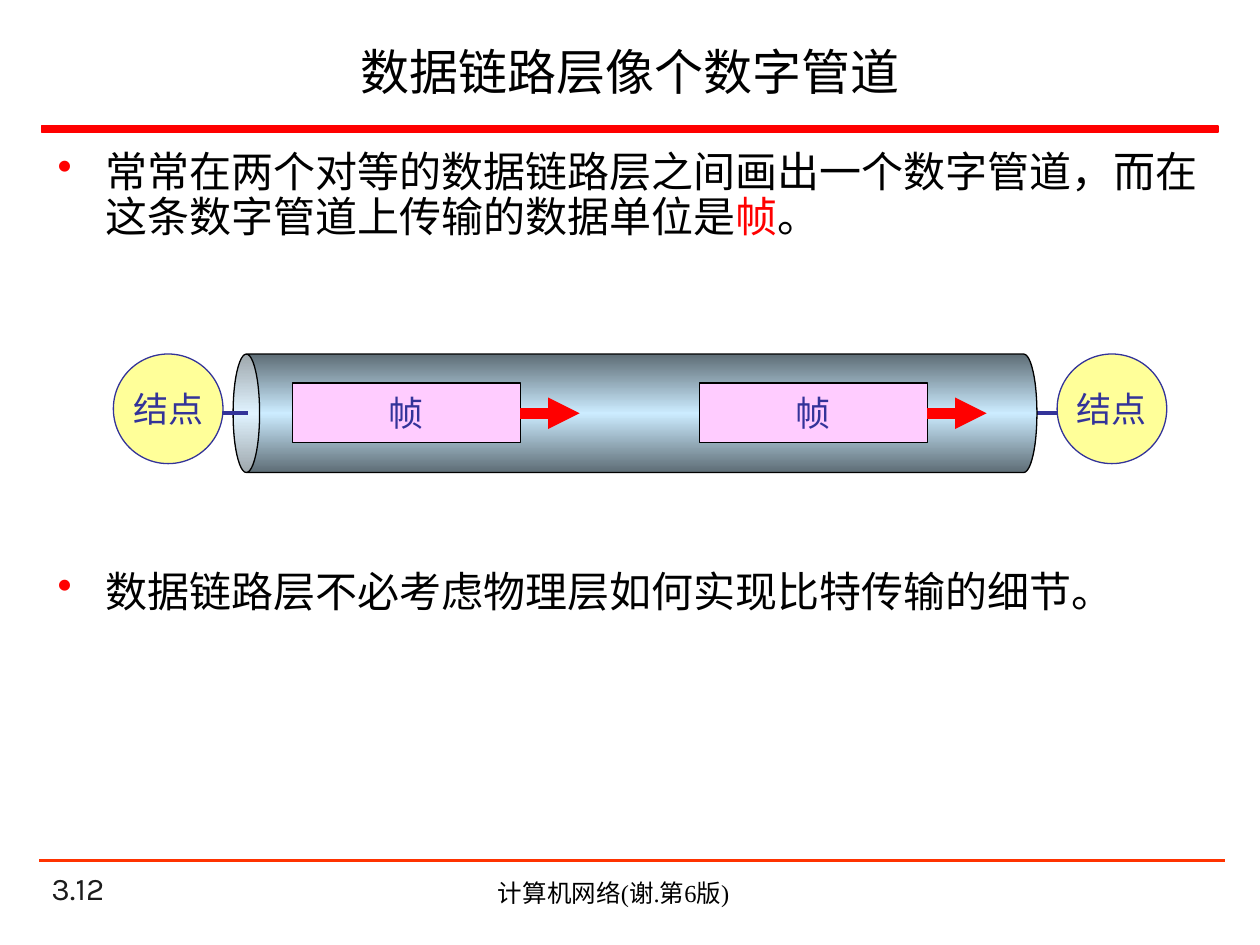
import copy
import pptx
import pptx.dml.color
import pptx.enum.shapes
import pptx.enum.text
import pptx.oxml
import pptx.oxml.ns
import pptx.util

Inches = pptx.util.Inches
Pt = pptx.util.Pt
Shape = pptx.enum.shapes.MSO_SHAPE
Align = pptx.enum.text.PP_ALIGN
Anchor = pptx.enum.text.MSO_ANCHOR
qn = pptx.oxml.ns.qn

COLORS = {
    "red": "FF0000", "rule": "FF3300", "black": "000000", "number": "1C1C1C",
    "blue": "333399", "node": "FFFF99", "frame": "FFCCFF",
    "edge": "5E6D76", "shine": "CCECFF", "white": "FFFFFF",
}
AXIS = 3.28


def rgb(name):
    return pptx.dml.color.RGBColor.from_string(COLORS[name])


def element(tag, **attrs):
    node = pptx.oxml.parse_xml(f"<a:{tag} {pptx.oxml.ns.nsdecls('a')}/>")
    for key, value in attrs.items():
        node.set(key, value)
    return node


def style(font, size, color, face="Karla"):
    font.size = Pt(size)
    font.name = face
    font.color.rgb = rgb(color)


def add_box(slide, box, anchor=Anchor.TOP):
    frame = slide.shapes.add_textbox(*map(Inches, box)).text_frame
    frame.word_wrap = True
    frame.vertical_anchor = anchor
    return frame


def add_label(slide, box, text, size, color, face="Karla",
              align=Align.CENTER, anchor=Anchor.TOP):
    frame = add_box(slide, box, anchor)
    frame.text = text
    line = frame.paragraphs[0]
    line.alignment = align
    style(line.runs[0].font, size, color, face)


def add_block(slide, kind, box, fill, line, width=0.75, text=""):
    shape = slide.shapes.add_shape(kind, *map(Inches, box))
    shape.shadow.inherit = False
    shape.fill.solid()
    shape.fill.fore_color.rgb = rgb(fill)
    shape.line.color.rgb = rgb(line)
    shape.line.width = Pt(width)
    if text:
        frame = shape.text_frame
        frame.word_wrap = False
        frame.vertical_anchor = Anchor.MIDDLE
        frame.text = text
        frame.paragraphs[0].alignment = Align.CENTER
        style(frame.paragraphs[0].runs[0].font, 20, "blue")
    return shape


def add_line(slide, left, right, y, color, width, arrow=False):
    line = slide.shapes.add_connector(
        pptx.enum.shapes.MSO_CONNECTOR.STRAIGHT,
        Inches(left), Inches(y), Inches(right), Inches(y))
    line.line.color.rgb = rgb(color)
    line.line.width = Pt(width)
    if arrow:
        line.line._get_or_add_ln().append(element("tailEnd", type="triangle"))
    line._element.spPr.append(element("effectLst"))


def add_pipe(slide):
    pipe = add_block(slide, Shape.CAN, (4.57, 0.09, 0.94, 6.38), "shine", "black")
    pipe.rotation = 270
    pipe.adjustments[0] = 0.224
    pipe.fill.gradient()
    pipe.fill.gradient_angle = 0
    stops = pipe._element.spPr.find(".//" + qn("a:gsLst"))
    stops.append(copy.deepcopy(stops[-1]))
    for stop, color, place in zip(pipe.fill.gradient_stops,
                                  ("edge", "shine", "edge"), (0, 0.5, 1)):
        stop.color.rgb = rgb(color)
        stop.position = place


def add_points(slide, box, points, gap):
    frame = add_box(slide, box)
    for index, runs in enumerate(points):
        line = frame.add_paragraph() if index else frame.paragraphs[0]
        props = line._p.get_or_add_pPr()
        props.set("marL", str(Inches(0.38)))
        props.set("indent", str(Inches(-0.38)))
        line.line_spacing = 0.9
        line.space_before = Pt(gap if index else 0)
        tint = element("buClr")
        tint.append(element("srgbClr", val=COLORS["red"]))
        props.append(tint)
        props.append(element("buChar", char="•"))
        for text, color in runs:
            run = line.add_run()
            run.text = text
            style(run.font, 24, color)


def add_link(slide):
    for left in (0.9, 8.39):
        add_block(slide, Shape.OVAL, (left, 2.81, 0.87, 0.87),
                  "node", "blue", text="结点")
    add_line(slide, 1.77, 8.39, AXIS, "blue", 2.25)
    add_pipe(slide)
    add_line(slide, 1.77, 1.97, AXIS, "blue", 2.25)
    for left in (2.32, 5.55):
        add_block(slide, Shape.RECTANGLE, (left, 3.04, 1.81, 0.47),
                  "frame", "black", text="帧")
        add_line(slide, left + 1.81, left + 2.28, AXIS, "red", 6, arrow=True)


def main():
    deck = pptx.Presentation()
    deck.slide_width = Inches(10)
    deck.slide_height = Inches(7.5)
    slide = deck.slides.add_slide(deck.slide_layouts[6])
    slide.background.fill.solid()
    slide.background.fill.fore_color.rgb = rgb("white")

    add_label(slide, (0.31, 6.92, 2.08, 0.33), "3.12", 18, "number",
              align=Align.LEFT, anchor=Anchor.BOTTOM)
    add_block(slide, Shape.RECTANGLE, (0.33, 1, 9.34, 0.05), "red", "red", 1)
    add_line(slide, 0.31, 9.72, 6.83, "rule", 1.5)
    add_label(slide, (2.83, 6.92, 4.08, 0.34), "计算机网络(谢.第6版)", 14,
              "black", "Times New Roman")
    add_points(slide, (0.36, 1.15, 9.28, 5.59), [
        [("常常在两个对等的数据链路层之间画出一个数字管道，"
          "而在这条数字管道上传输的数据单位是", "black"),
         ("帧", "red"), ("。", "black")],
        [("数据链路层不必考虑物理层如何实现比特传输的细节。", "black")],
    ], 188)
    add_link(slide)
    add_label(slide, (0.36, 0.21, 9.28, 0.71), "数据链路层像个数字管道", 28,
              "black", anchor=Anchor.MIDDLE)
    deck.save("out.pptx")


if __name__ == "__main__":
    main()
